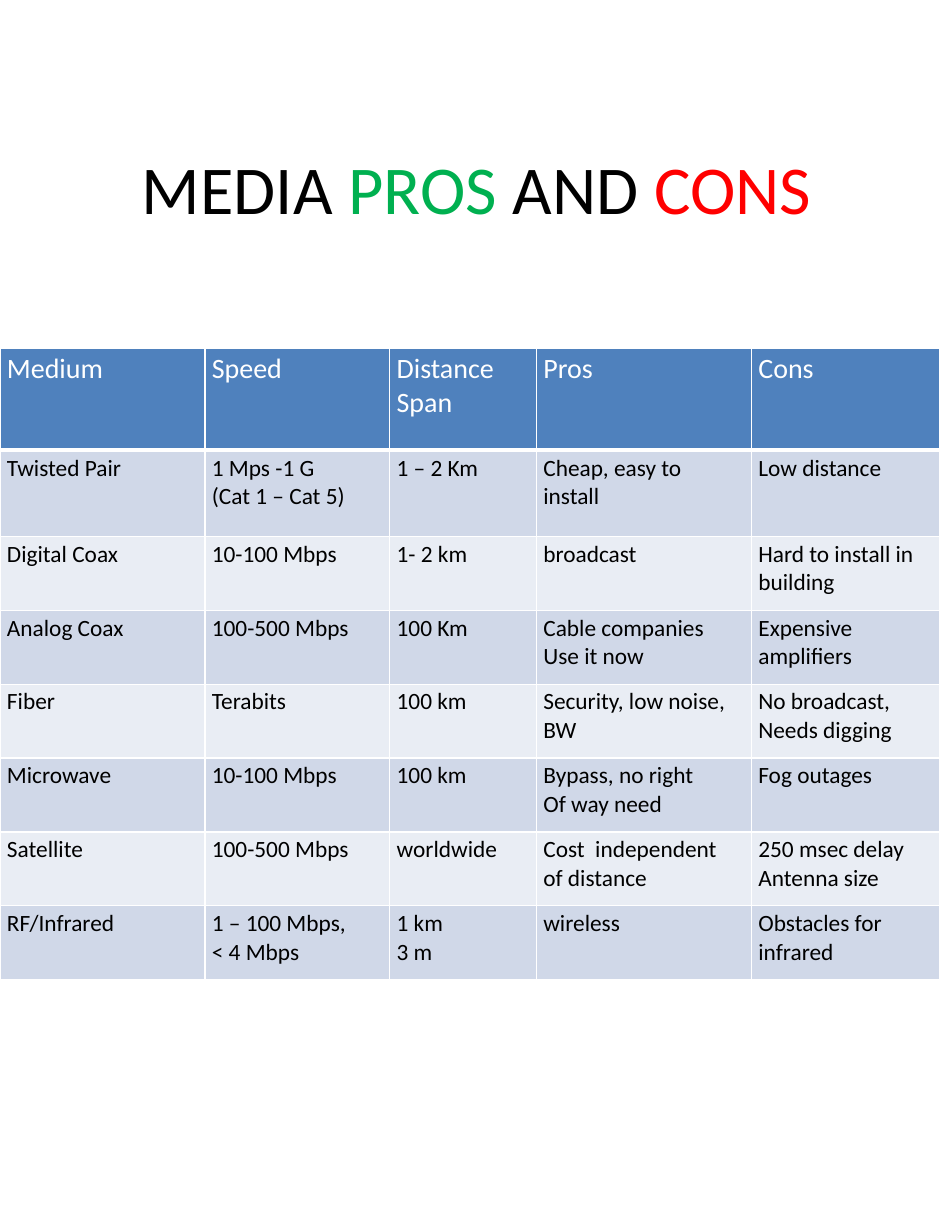
from lxml.etree import SubElement
from pptx import Presentation
from pptx.dml.color import RGBColor
from pptx.enum.text import MSO_ANCHOR, MSO_AUTO_SIZE, PP_ALIGN
from pptx.oxml.ns import qn
from pptx.util import Pt

BLACK = RGBColor(0x00, 0x00, 0x00)
WHITE = RGBColor(0xFF, 0xFF, 0xFF)
GREEN = RGBColor(0x00, 0xB0, 0x50)
RED = RGBColor(0xFF, 0x00, 0x00)
HEADER_BLUE = RGBColor(0x4F, 0x81, 0xBD)
BAND_DARK = RGBColor(0xD0, 0xD8, 0xE8)
BAND_LIGHT = RGBColor(0xE9, 0xED, 0xF4)

TITLE = [("MEDIA ", BLACK), ("PROS ", GREEN), ("AND ", BLACK), ("CONS", RED)]

COLUMN_WIDTHS = [131.75, 118.8, 94.3, 138.25, 121]
ROW_HEIGHTS = [65.5, 55.4] + [47.5] * 6

# Each line of a cell is its own paragraph
MEDIA = [
    ["Medium", "Speed", "Distance\nSpan", "Pros", "Cons"],
    ["Twisted Pair", "1 Mps -1 G\n(Cat 1 – Cat 5)", "1 – 2 Km",
     "Cheap, easy to\ninstall", "Low distance"],
    ["Digital Coax", "10-100 Mbps", "1- 2 km", "broadcast",
     "Hard to install in\nbuilding"],
    ["Analog Coax", "100-500 Mbps", "100 Km", "Cable companies\nUse it now",
     "Expensive\namplifiers"],
    ["Fiber", "Terabits", "100 km", "Security, low noise, BW",
     "No broadcast,\nNeeds digging"],
    ["Microwave", "10-100 Mbps", "100 km", "Bypass, no right\nOf way need",
     "Fog outages"],
    ["Satellite", "100-500 Mbps", "worldwide", "Cost  independent\nof distance",
     "250 msec delay\nAntenna size"],
    ["RF/Infrared", "1 – 100 Mbps,\n< 4 Mbps", "1 km\n3 m", "wireless",
     "Obstacles for\ninfrared"],
]


class SlideBuilder:
    font_name = "Calibri"
    title_size = 44
    header_size = 18
    body_size = 15

    def __init__(self, slide):
        self.slide = slide

    def add_run(self, paragraph, text, size, color):
        run = paragraph.add_run()
        run.text = text
        run.font.name = self.font_name
        run.font.size = Pt(size)
        run.font.bold = False
        run.font.color.rgb = color

    def add_title(self, parts, left, top, width, height):
        title = self.slide.shapes.title
        title.left, title.top = Pt(left), Pt(top)
        title.width, title.height = Pt(width), Pt(height)
        frame = title.text_frame
        frame.word_wrap = True
        frame.auto_size = MSO_AUTO_SIZE.SHAPE_TO_FIT_TEXT
        frame.vertical_anchor = MSO_ANCHOR.TOP
        paragraph = frame.paragraphs[0]
        paragraph.alignment = PP_ALIGN.LEFT
        for text, color in parts:
            self.add_run(paragraph, text, self.title_size, color)

    def add_borders(self, cell, bottom_width):
        properties = cell._tc.get_or_add_tcPr()
        widths = {"a:lnL": 1, "a:lnR": 1, "a:lnT": 1, "a:lnB": bottom_width}
        for tag, width in widths.items():
            line = SubElement(properties, qn(tag), w=str(Pt(width)))
            fill = SubElement(line, qn("a:solidFill"))
            SubElement(fill, qn("a:srgbClr"), val=str(WHITE))

    def fill_cell(self, cell, text, size, color, background, bottom_width):
        cell.margin_left = cell.margin_right = Pt(4.5)
        cell.margin_top = cell.margin_bottom = Pt(2.25)
        self.add_borders(cell, bottom_width)
        cell.fill.solid()
        cell.fill.fore_color.rgb = background
        frame = cell.text_frame
        for index, line in enumerate(text.split("\n")):
            paragraph = frame.add_paragraph() if index else frame.paragraphs[0]
            self.add_run(paragraph, line, size, color)

    def add_table(self, rows, left, top, widths, heights):
        table = self.slide.shapes.add_table(
            len(rows), len(widths), Pt(left), Pt(top),
            Pt(sum(widths)), Pt(sum(heights))).table
        for column, width in zip(table.columns, widths):
            column.width = Pt(width)
        for row, height in zip(table.rows, heights):
            row.height = Pt(height)
        for row_index, texts in enumerate(rows):
            if row_index == 0:
                style = (self.header_size, WHITE, HEADER_BLUE, 3)
            else:
                band = BAND_DARK if row_index % 2 else BAND_LIGHT
                style = (self.body_size, BLACK, band, 1)
            for column_index, text in enumerate(texts):
                self.fill_cell(table.cell(row_index, column_index), text, *style)


def main():
    presentation = Presentation()
    presentation.slide_width, presentation.slide_height = Pt(612), Pt(792)
    # Layout 5 is "Title Only"
    slide = presentation.slides.add_slide(presentation.slide_layouts[5])
    builder = SlideBuilder(slide)

    # Media comparison
    builder.add_table(MEDIA, 0, 224, COLUMN_WIDTHS, ROW_HEIGHTS)

    # Title
    builder.add_title(TITLE, 84, 90, 486, 60.5)

    presentation.save("out.pptx")


if __name__ == "__main__":
    main()
